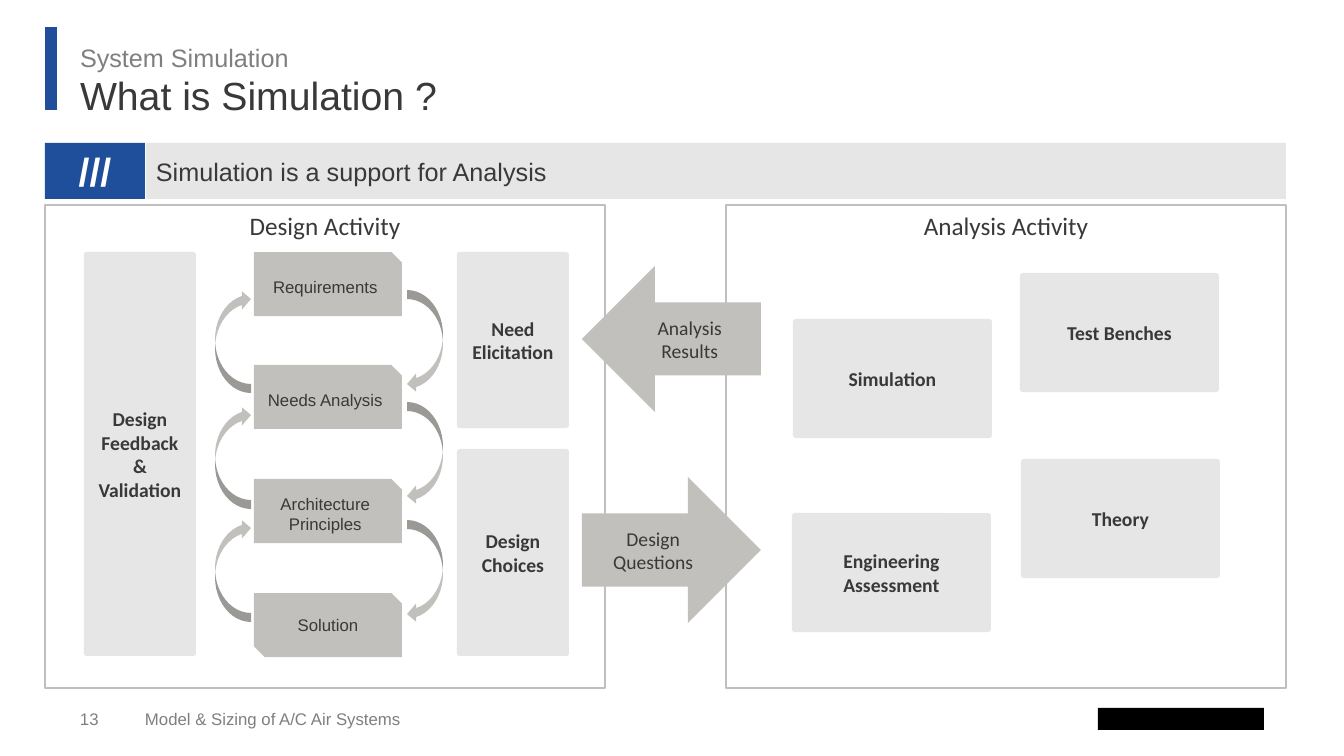
from pptx import Presentation
from pptx import util as u
from pptx.dml.color import RGBColor
from pptx.enum import shapes, text
from pptx.oxml.ns import qn
from lxml import etree

PX = 914400 / 100.8
BLUE, DARK, MID, GREY, PALE = "1F4E9A", "3A3838", "7F7F7F", "C2C0BC", "E6E6E6"
MSO = shapes.MSO_SHAPE
CENTER, LEFT = text.PP_ALIGN.CENTER, text.PP_ALIGN.LEFT
MIDDLE, TOP = text.MSO_ANCHOR.MIDDLE, text.MSO_ANCHOR.TOP
rgb = RGBColor.from_string


def write(sp, words, size=14, font="Calibri", color=DARK, bold=False,
          align=CENTER, anchor=MIDDLE, inset=True, spacing=None):
    tf = sp.text_frame
    tf.word_wrap = True
    tf.auto_size = text.MSO_AUTO_SIZE.NONE
    tf.vertical_anchor = anchor
    if not inset:
        tf.margin_left = tf.margin_top = tf.margin_right = tf.margin_bottom = 0
    p = tf.paragraphs[0]
    p.alignment = align
    p.line_spacing = spacing
    r = p.add_run()
    r.text = words
    r.font.size, r.font.name, r.font.bold = u.Pt(size), font, bold
    r.font.color.rgb = rgb(color)


def add(kind, x, y, w, h, fill=None, line=None, flip=None):
    sp = s.shapes.add_shape(kind, *[round(v * PX) for v in (x, y, w, h)])
    sp.shadow.inherit = False
    if fill:
        sp.fill.solid()
        sp.fill.fore_color.rgb = rgb(fill)
    else:
        sp.fill.background()
    if line:
        sp.line.color.rgb = rgb(line)
        sp.line.width = u.Pt(1)
    else:
        sp.line.fill.background()
    if flip:
        sp.element.spPr.find(qn("a:xfrm")).set(flip, "1")
    if kind == MSO.ROUNDED_RECTANGLE:
        sp.adjustments[0] = 0.025
    return sp


prs = Presentation()
prs.slide_width, prs.slide_height = round(1344 * PX), round(756 * PX)
s = prs.slides.add_slide(prs.slide_layouts[5])

title = s.shapes.title
title.left, title.top, title.width, title.height = [round(v * PX) for v in (80, 77, 1184, 42)]
write(title, "What is Simulation ?", size=28, font="Arial", align=LEFT, inset=False, spacing=0.9)

bar = s.shapes.add_connector(shapes.MSO_CONNECTOR.STRAIGHT,
                             *[round(v * PX) for v in (51, 27, 51, 110)])
bar.line.color.rgb = rgb(BLUE)
bar.line.width = u.Pt(7.94)
etree.SubElement(bar.element.spPr, qn("a:effectLst"))

add(MSO.RECTANGLE, 1098, 708, 166, 22, fill="000000")

for words, x, y, w, h, size, anchor in [
    ("System Simulation", 80, 42, 1184, 26, 18, TOP),
    ("Model & Sizing of A/C Air Systems", 145, 709, 773, 20, 12, MIDDLE),
    ("13", 80, 709, 57, 20, 12, MIDDLE),
]:
    tb = s.shapes.add_textbox(*[round(v * PX) for v in (x, y, w, h)])
    write(tb, words, size=size, font="Arial", color=MID, align=LEFT, anchor=anchor, inset=False)

write(add(MSO.RECTANGLE, 45, 143, 100, 56, fill=BLUE), "///",
      size=28, font="Arial", color="FFFFFF", bold=True)
write(add(MSO.RECTANGLE, 146, 143, 1140, 56, fill=PALE), "Simulation is a support for Analysis",
      size=18, font="Arial", align=LEFT)

for panel, x, exchange, y, flip in [
    ("Design Activity", 45, "Design Questions", 477, None),
    ("Analysis Activity", 726, "Analysis Results", 266, "flipH"),
]:
    write(add(MSO.RECTANGLE, x, 205, 560, 483, line="BFBFBF"), panel, size=18, anchor=TOP)
    write(add(MSO.RIGHT_ARROW, 582, y, 179, 146, fill=GREY, flip=flip), exchange)

steps = ["Requirements", "Needs Analysis", "Architecture Principles", "Solution"]
for i, step in enumerate(steps):
    kind = MSO.SNIP_2_DIAG_RECTANGLE if step == "Solution" else MSO.SNIP_1_RECTANGLE
    write(add(kind, 254, 252 + i * 341 // 3, 148, 64, fill=GREY), step, size=12, font="Arial")

for x, tops, turn in [(215, (290, 406, 519), 0), (407, (290, 402, 520), 180)]:
    for y in tops:
        loop = add(MSO.CURVED_RIGHT_ARROW, x, y, 36, 103, fill=GREY, flip="flipV")
        loop.rotation = turn

for words, x, y, w, h in [
    ("Design Feedback & Validation", 84, 252, 112, 404),
    ("Need Elicitation", 457, 252, 112, 176),
    ("Design Choices", 457, 449, 112, 207),
    ("Simulation", 793, 319, 199, 119),
    ("Test Benches", 1020, 273, 199, 119),
    ("Theory", 1021, 459, 199, 119),
    ("Engineering Assessment", 792, 513, 199, 119),
]:
    write(add(MSO.ROUNDED_RECTANGLE, x, y, w, h, fill=PALE), words, bold=True)

prs.save("out.pptx")
